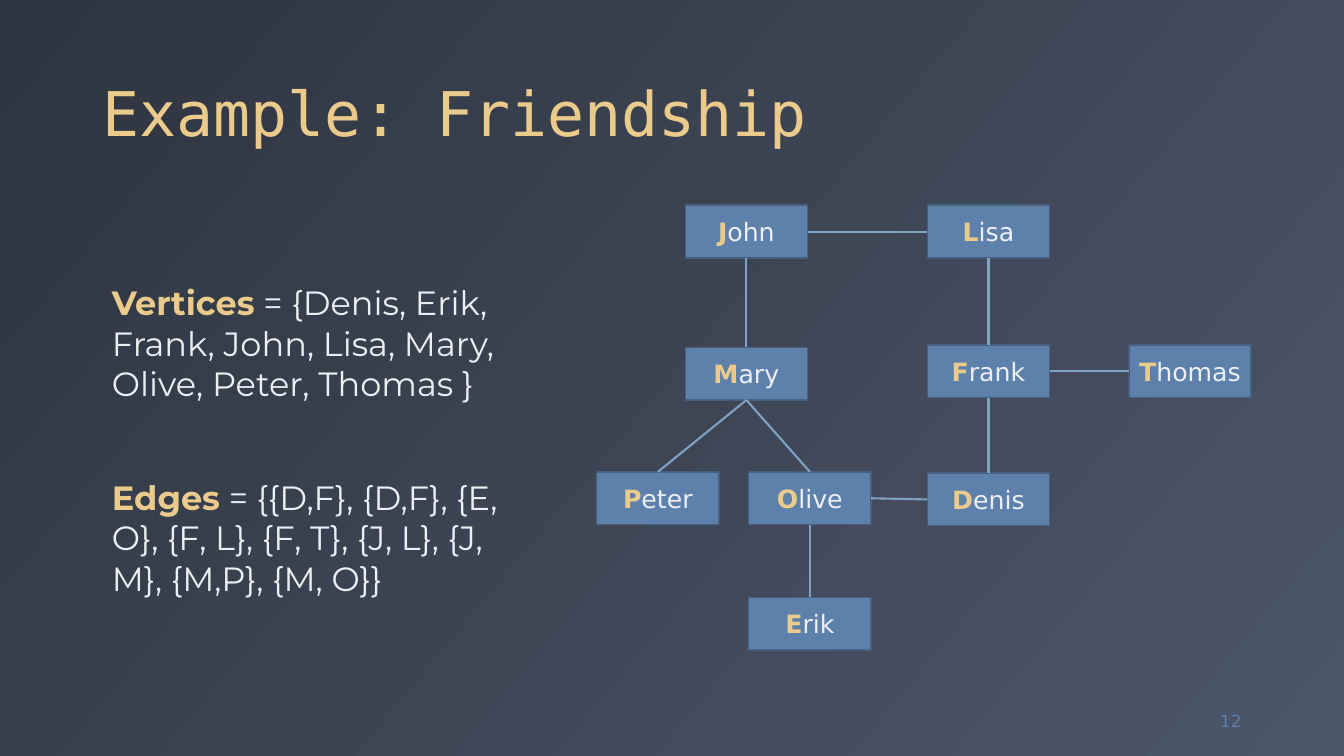
import pptx
import pptx.dml.color
import pptx.enum.shapes
import pptx.enum.text
import pptx.oxml.ns
import pptx.util
from lxml import etree

Cm = pptx.util.Cm
Pt = pptx.util.Pt
ALIGN = pptx.enum.text.PP_ALIGN
ANCHOR = pptx.enum.text.MSO_ANCHOR
SIZING = pptx.enum.text.MSO_AUTO_SIZE

COLORS = {
    "dark": "2E3440",
    "slate": "4C5669",
    "gold": "EBCB8B",
    "light": "ECEFF3",
    "blue": "5E81AC",
    "border": "465F7F",
    "edge": "81A1C1",
}

TITLE_FONT = {"name": "DejaVu Sans Mono", "size": Pt(44), "bold": False}
NUMBER_FONT = {"name": "DejaVu Sans", "size": Pt(12), "bold": False}
NODE_FONT = {"name": "DejaVu Sans", "size": Pt(18)}
SET_FONT = {"name": "Montserrat", "size": Pt(24)}

NODE_WIDTH, NODE_HEIGHT = 3.08, 1.33
TOP, LEFT, BOTTOM, RIGHT = range(4)

PEOPLE = {
    "John": (17.27, 5.17),
    "Lisa": (23.37, 5.17),
    "Mary": (17.27, 8.75),
    "Frank": (23.37, 8.69),
    "Thomas": (28.45, 8.69),
    "Peter": (15.04, 11.89),
    "Olive": (18.87, 11.89),
    "Denis": (23.37, 11.92),
    "Erik": (18.87, 15.05),
}

FRIENDSHIPS = [
    ("John", BOTTOM, "Mary", TOP),
    ("John", RIGHT, "Lisa", LEFT),
    ("Lisa", BOTTOM, "Frank", TOP),
    ("Mary", BOTTOM, "Peter", TOP),
    ("Mary", BOTTOM, "Olive", TOP),
    ("Olive", RIGHT, "Denis", LEFT),
    ("Olive", BOTTOM, "Erik", TOP),
    ("Frank", RIGHT, "Thomas", LEFT),
    ("Frank", BOTTOM, "Denis", TOP),
]

SETS = [
    (6.99, 10.36, "Vertices", " = {Denis, Erik, Frank, John, Lisa, Mary, Olive, Peter, Thomas }"),
    (11.89, 11.15, "Edges", " = {{D,F}, {D,F}, {E, O}, {F, L}, {F, T}, {J, L}, {J, M}, {M,P}, {M, O}}"),
]


def color(name):
    return pptx.dml.color.RGBColor.from_string(COLORS[name])


def apply_format(target, values):
    for name, value in values.items():
        setattr(target, name, value)


def add_span(para, text, tint, font):
    span = para.add_run()
    span.text = text
    apply_format(span.font, font)
    span.font.color.rgb = color(tint)


def add_highlighted(para, lead, rest, font):
    add_span(para, lead, "gold", {**font, "bold": True})
    add_span(para, rest, "light", {**font, "bold": False})


def paint_background(page):
    fill = page.background.fill
    fill.gradient()
    fill.gradient_angle = 320
    for stop, tint in zip(fill.gradient_stops, ("dark", "slate")):
        stop.color.rgb = color(tint)


def fill_title(page, text):
    title = page.shapes.title
    apply_format(title, {"left": Cm(2.33), "top": Cm(0.46), "width": Cm(29.21), "height": Cm(3.45)})
    apply_format(title.text_frame, {"vertical_anchor": ANCHOR.BOTTOM, "auto_size": SIZING.NONE})
    para = title.text_frame.paragraphs[0]
    apply_format(para, {"alignment": ALIGN.LEFT, "line_spacing": 0.9})
    add_span(para, text, "gold", TITLE_FONT)


def add_text_box(page, left, top, width, height, frame_format):
    box = page.shapes.add_textbox(Cm(left), Cm(top), Cm(width), Cm(height))
    apply_format(box.text_frame, {"word_wrap": True, **frame_format})
    return box.text_frame.paragraphs[0]


def add_page_number(page, number):
    para = add_text_box(page, 29.44, 17.66, 2.1, 1.01, {"vertical_anchor": ANCHOR.MIDDLE})
    para.alignment = ALIGN.RIGHT
    add_span(para, number, "blue", NUMBER_FONT)


def add_set(page, top, width, name, members):
    para = add_text_box(page, 2.57, top, width, 3.33, {"auto_size": SIZING.SHAPE_TO_FIT_TEXT})
    add_highlighted(para, name, members, SET_FONT)


def add_node(page, name, left, top):
    node = page.shapes.add_shape(
        pptx.enum.shapes.MSO_SHAPE.RECTANGLE, Cm(left), Cm(top), Cm(NODE_WIDTH), Cm(NODE_HEIGHT)
    )
    node.shadow.inherit = False
    node.fill.solid()
    node.fill.fore_color.rgb = color("blue")
    node.line.color.rgb = color("border")
    node.line.width = Pt(1)
    apply_format(node.text_frame, {
        "vertical_anchor": ANCHOR.MIDDLE, "word_wrap": True, "margin_left": 0, "margin_right": 0,
    })
    para = node.text_frame.paragraphs[0]
    para.alignment = ALIGN.CENTER
    add_highlighted(para, name[0], name[1:], NODE_FONT)
    return node


def add_edge(page, start, start_site, end, end_site):
    edge = page.shapes.add_connector(pptx.enum.shapes.MSO_CONNECTOR.STRAIGHT, 0, 0, 0, 0)
    edge.begin_connect(start, start_site)
    edge.end_connect(end, end_site)
    edge.line.color.rgb = color("edge")
    edge.line.width = Pt(1.5)
    etree.SubElement(edge._element.spPr, pptx.oxml.ns.qn("a:effectLst"))


def main():
    deck = pptx.Presentation()
    apply_format(deck, {"slide_width": Cm(33.87), "slide_height": Cm(19.05)})
    page = deck.slides.add_slide(deck.slide_layouts[5])
    paint_background(page)
    fill_title(page, "Example: Friendship")
    add_page_number(page, "12")
    nodes = {name: add_node(page, name, *place) for name, place in PEOPLE.items()}
    for start, start_site, end, end_site in FRIENDSHIPS:
        add_edge(page, nodes[start], start_site, nodes[end], end_site)
    for entry in SETS:
        add_set(page, *entry)
    deck.save("out.pptx")


if __name__ == "__main__":
    main()
